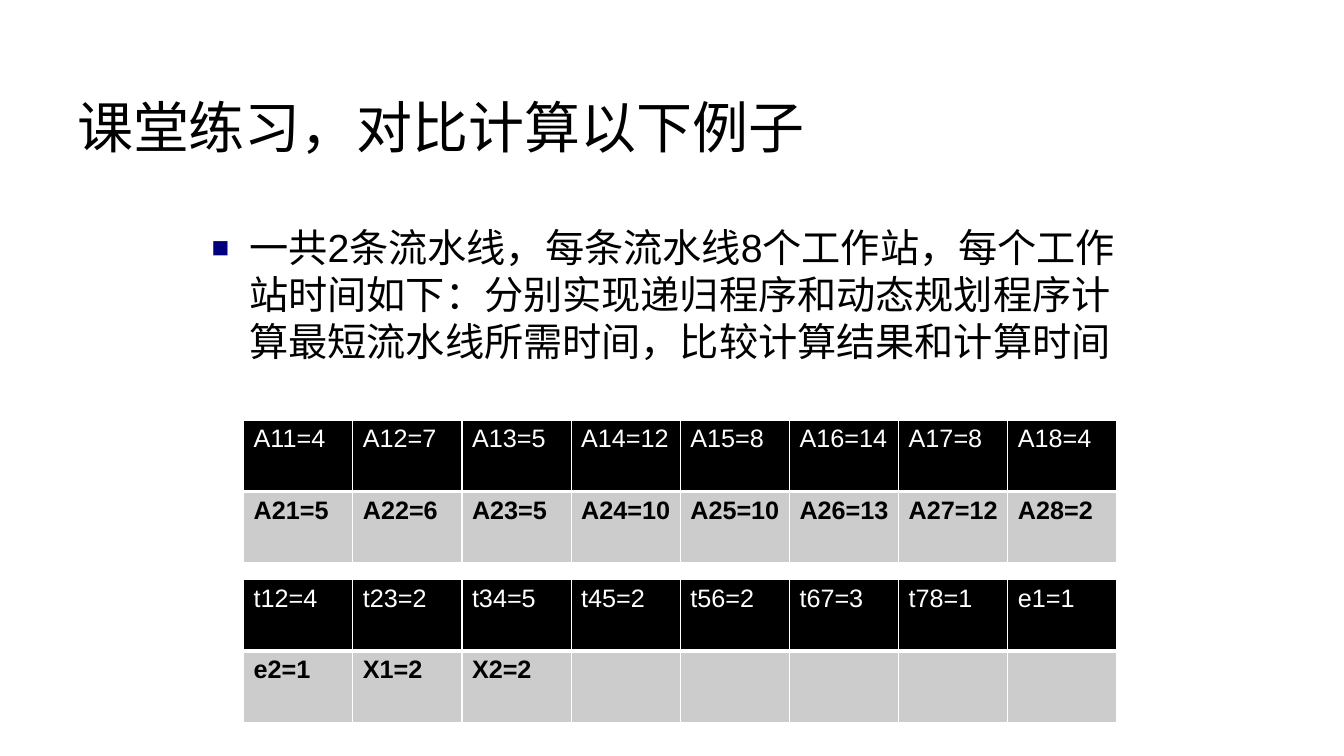
from lxml import etree
from pptx import Presentation
from pptx.dml.color import RGBColor
from pptx.enum.text import MSO_ANCHOR
from pptx.oxml.ns import qn
from pptx.util import Pt

PX = 9525
MIDDLE = MSO_ANCHOR.MIDDLE
BLACK = RGBColor(0x00, 0x00, 0x00)
WHITE = RGBColor(0xFF, 0xFF, 0xFF)
GRAY = RGBColor(0xCC, 0xCC, 0xCC)
NAVY = RGBColor(0x00, 0x00, 0x7D)

TABLE_LEFT, COL_WIDTH, ROW_HEIGHT = 232, 104, 68
TABLES = [
    (400, [
        ["A11=4", "A12=7", "A13=5", "A14=12", "A15=8", "A16=14", "A17=8", "A18=4"],
        ["A21=5", "A22=6", "A23=5", "A24=10", "A25=10", "A26=13", "A27=12", "A28=2"],
    ]),
    (552, [
        ["t12=4", "t23=2", "t34=5", "t45=2", "t56=2", "t67=3", "t78=1", "e1=1"],
        ["e2=1", "X1=2", "X2=2", "", "", "", "", ""],
    ]),
]


def write(tf, text, size, color, bold=False):
    tf.word_wrap = True
    p = tf.paragraphs[0]
    p.text = text
    for r in p.runs:
        r.font.name = "Arial"
        r.font.size = Pt(size)
        r.font.bold = bold
        r.font.color.rgb = color
    return p


def add_border(tcPr, side, width):
    ln = etree.SubElement(tcPr, qn(f"a:{side}"), w=str(Pt(width)))
    fill = etree.SubElement(ln, qn("a:solidFill"))
    etree.SubElement(fill, qn("a:srgbClr"), val=str(WHITE))


prs = Presentation()
prs.slide_width = 1280 * PX
prs.slide_height = 720 * PX
s = prs.slides.add_slide(prs.slide_layouts[6])

title = s.shapes.add_textbox(64 * PX, 48 * PX, 1152 * PX, 144 * PX)
title.text_frame.vertical_anchor = MIDDLE
write(title.text_frame, "课堂练习，对比计算以下例子", 40, BLACK)

body = s.shapes.add_textbox(192 * PX, 208 * PX, 880 * PX, 408 * PX)
p = write(
    body.text_frame,
    "一共2条流水线，每条流水线8个工作站，每个工作站时间如下："
    "分别实现递归程序和动态规划程序计算最短流水线所需时间，比较计算结果和计算时间",
    28, BLACK)
pPr = p._p.get_or_add_pPr()
pPr.set("marL", str(36 * PX))
pPr.set("indent", str(-36 * PX))
bullet_color = etree.SubElement(pPr, qn("a:buClr"))
etree.SubElement(bullet_color, qn("a:srgbClr"), val=str(NAVY))
etree.SubElement(pPr, qn("a:buSzPct"), val="75000")
etree.SubElement(pPr, qn("a:buFont"), typeface="Arial")
etree.SubElement(pPr, qn("a:buChar"), char="■")

for top, rows in TABLES:
    n_rows, n_cols = len(rows), len(rows[0])
    table = s.shapes.add_table(
        n_rows, n_cols, TABLE_LEFT * PX, top * PX,
        n_cols * COL_WIDTH * PX, n_rows * ROW_HEIGHT * PX).table
    for col in table.columns:
        col.width = COL_WIDTH * PX
    for i, values in enumerate(rows):
        table.rows[i].height = ROW_HEIGHT * PX
        header = i == 0
        for j, value in enumerate(values):
            cell = table.cell(i, j)
            write(cell.text_frame, value, 18, WHITE if header else BLACK, not header)
            tcPr = cell._tc.get_or_add_tcPr()
            for side in ("lnL", "lnR", "lnT", "lnB"):
                add_border(tcPr, side, 3 if header and side == "lnB" else 1)
            cell.fill.solid()
            cell.fill.fore_color.rgb = BLACK if header else GRAY

prs.save("out.pptx")
